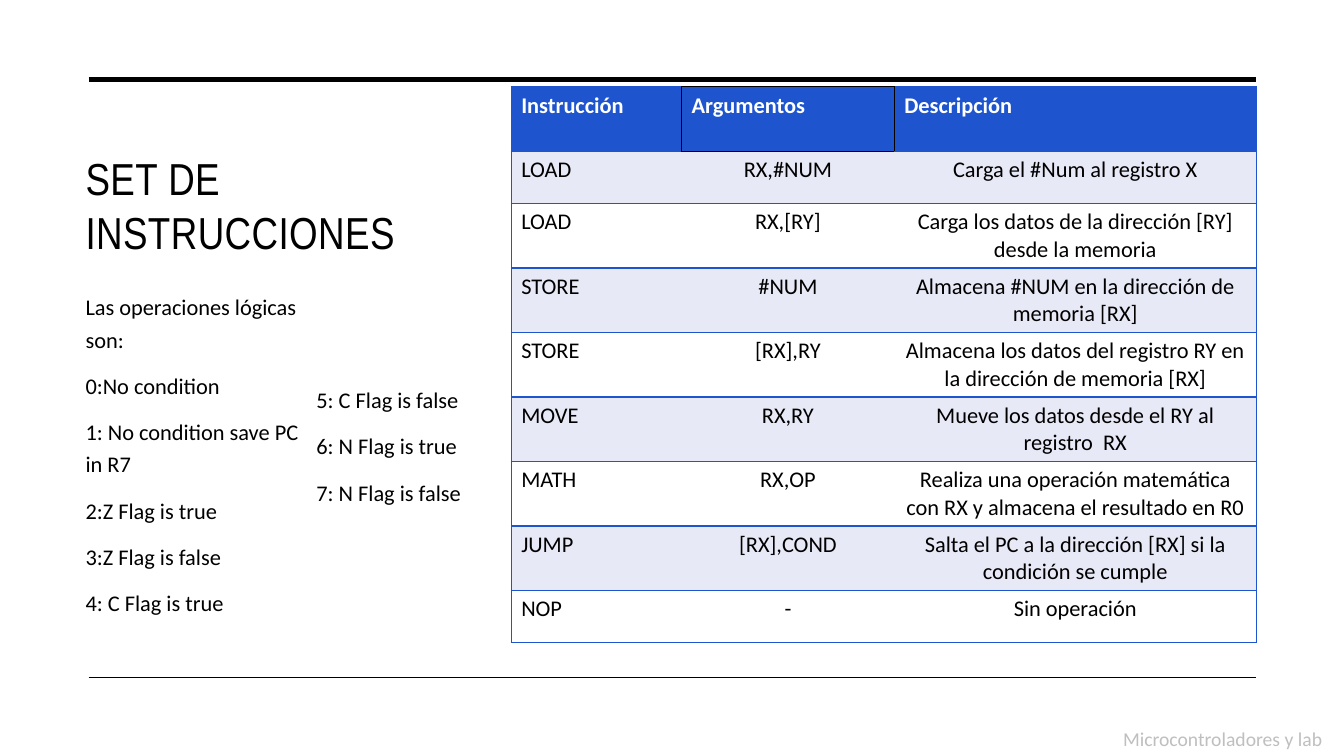
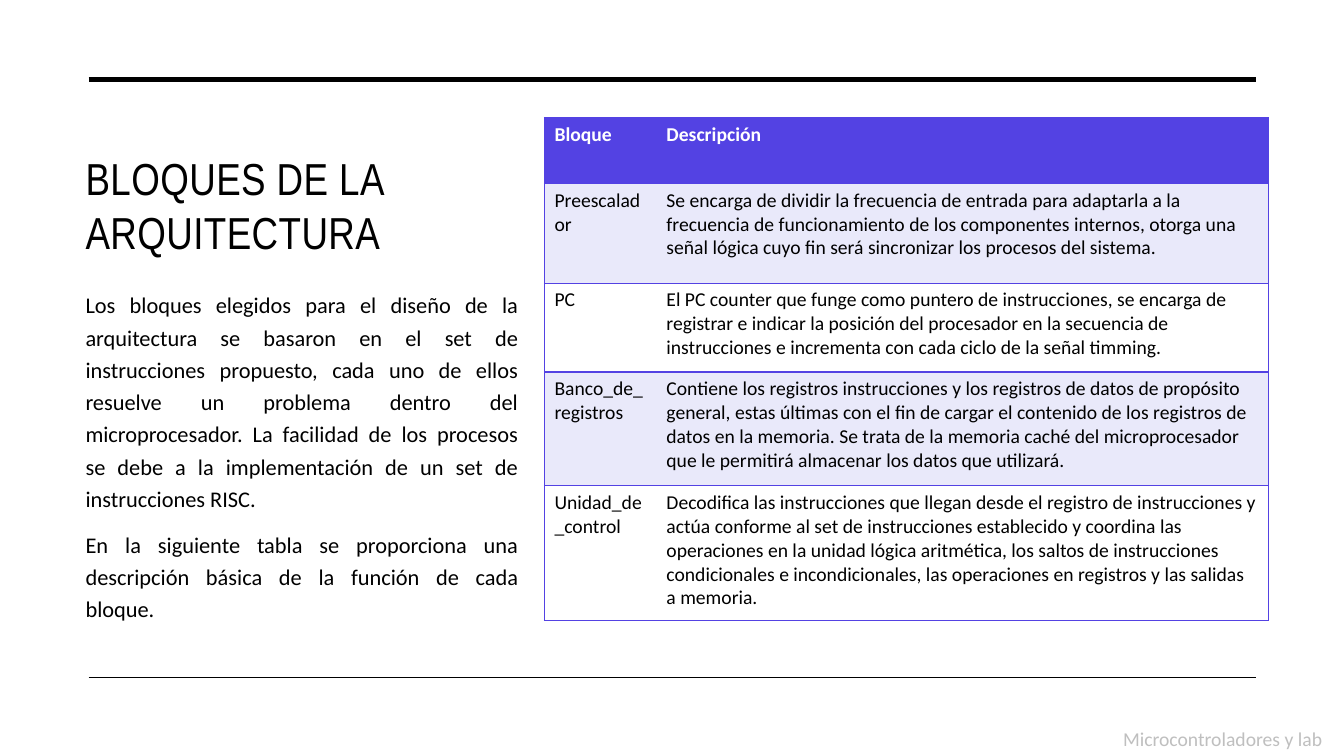
from lxml.etree import SubElement
from pptx import Presentation
from pptx.dml.color import RGBColor
from pptx.enum.shapes import MSO_CONNECTOR as Connector
from pptx.enum.text import MSO_ANCHOR as Anchor, PP_ALIGN as Align
from pptx.oxml.ns import qn
from pptx.util import Inches, Pt

BLACK = RGBColor(0x00, 0x00, 0x00)
WHITE = RGBColor(0xFF, 0xFF, 0xFF)
GRAY = RGBColor(0xBF, 0xBF, 0xBF)
BLUE = RGBColor(0x1E, 0x55, 0xCE)
PALE_BLUE = RGBColor(0xE8, 0xE9, 0xF6)
VIOLET = RGBColor(0x53, 0x42, 0xE3)
PALE_VIOLET = RGBColor(0xE9, 0xE9, 0xFA)

TITLE_FONT = "Arial Narrow"
BODY_FONT = "Calibri"
FOOTER = "Microcontroladores y lab"

CONDITIONS = [
    "Las operaciones lógicas son:",
    "0:No condition",
    "1: No condition save PC in R7",
    "2:Z Flag is true",
    "3:Z Flag is false",
    "4: C Flag is true",
]
MORE_CONDITIONS = ["5: C Flag is false", "6: N Flag is true", "7: N Flag is false"]

INSTRUCTIONS = [
    ("Instrucción", "Argumentos", "Descripción"),
    ("LOAD", "RX,#NUM", "Carga el #Num al registro X"),
    ("LOAD", "RX,[RY]", "Carga los datos de la dirección [RY] desde la memoria"),
    ("STORE", "#NUM", "Almacena #NUM en la dirección de memoria [RX]"),
    ("STORE", "[RX],RY",
     "Almacena los datos del registro RY en la dirección de memoria [RX]"),
    ("MOVE", "RX,RY", "Mueve los datos desde el RY al registro  RX"),
    ("MATH", "RX,OP",
     "Realiza una operación matemática con RX y almacena el resultado en R0"),
    ("JUMP", "[RX],COND", "Salta el PC a la dirección [RX] si la condición se cumple"),
    ("NOP", "-", "Sin operación"),
]

ARCHITECTURE = [
    "Los bloques elegidos para el diseño de la arquitectura se basaron en el set de "
    "instrucciones propuesto, cada uno de ellos resuelve un problema dentro del "
    "microprocesador. La facilidad de los procesos se debe a la implementación de un "
    "set de instrucciones RISC.",
    "En la siguiente tabla se proporciona una descripción básica de la función de cada "
    "bloque.",
]

BLOCKS = [
    ("Bloque", "Descripción"),
    ("Preescalador",
     "Se encarga de dividir la frecuencia de entrada para adaptarla a la frecuencia de "
     "funcionamiento de los componentes internos, otorga una señal lógica cuyo fin será "
     "sincronizar los procesos del sistema."),
    ("PC",
     "El PC counter que funge como puntero de instrucciones, se encarga de registrar e "
     "indicar la posición del procesador en la secuencia de instrucciones e incrementa "
     "con cada ciclo de la señal timming."),
    ("Banco_de_registros",
     "Contiene los registros instrucciones y los registros de datos de propósito general, "
     "estas últimas con el fin de cargar el contenido de los registros de datos en la "
     "memoria. Se trata de la memoria caché del microprocesador que le permitirá almacenar "
     "los datos que utilizará."),
    ("Unidad_de_control",
     "Decodifica las instrucciones que llegan desde el registro de instrucciones y actúa "
     "conforme al set de instrucciones establecido y coordina las operaciones en la unidad "
     "lógica aritmética, los saltos de instrucciones condicionales e incondicionales, las "
     "operaciones en registros y las salidas a memoria."),
]


def write(frame, paragraphs, size=16, font=BODY_FONT, color=BLACK, bold=False,
          align=Align.LEFT, line_spacing=None, before=0, tracking=0):
    frame.word_wrap = True
    for index, text in enumerate(paragraphs):
        paragraph = frame.add_paragraph() if index else frame.paragraphs[0]
        paragraph.alignment = align
        paragraph.line_spacing = line_spacing
        paragraph.space_before = Pt(before)
        run = paragraph.add_run()
        run.text = text
        run.font.size = Pt(size)
        run.font.name = font
        run.font.bold = bold
        run.font.color.rgb = color
        if tracking:
            run.font._element.set("spc", str(round(tracking * 100)))


def add_text(slide, left, top, width, height, paragraphs, anchor=Anchor.TOP, **style):
    box = slide.shapes.add_textbox(
        Inches(left), Inches(top), Inches(width), Inches(height))
    box.text_frame.vertical_anchor = anchor
    write(box.text_frame, paragraphs, **style)


def add_body(slide, left, top, width, height, paragraphs, align=Align.LEFT):
    add_text(slide, left, top, width, height, paragraphs,
             align=align, line_spacing=1.2, before=10)


def add_rule(slide, y, weight):
    rule = slide.shapes.add_connector(
        Connector.STRAIGHT, Inches(0.88), Inches(y), Inches(12.46), Inches(y))
    rule.line.color.rgb = BLACK
    rule.line.width = Pt(weight)
    SubElement(rule._element.spPr, qn("a:effectLst"))


def add_slide(deck, title):
    slide = deck.slides.add_slide(deck.slide_layouts[6])
    add_rule(slide, 0.79, 3.5)
    add_rule(slide, 6.72, 1)
    add_text(slide, 0.75, 1.17, 4.49, 1.44, [title], anchor=Anchor.BOTTOM,
             size=32, font=TITLE_FONT, tracking=0.3)
    add_text(slide, 11.04, 7.16, 2.29, 0.34, [FOOTER], size=14, color=GRAY)
    return slide


def set_borders(cell, **colors):
    properties = cell._tc.get_or_add_tcPr()
    for position, side in enumerate("LRTB"):
        tag = qn(f"a:ln{side}")
        for old in properties.findall(tag):
            properties.remove(old)
        border = SubElement(properties, tag, w=str(Pt(1)))
        color = colors.get(side)
        if color is None:
            SubElement(border, qn("a:noFill"))
        else:
            fill = SubElement(border, qn("a:solidFill"))
            SubElement(fill, qn("a:srgbClr"), val=str(color))
        properties.insert(position, border)


def add_grid(slide, left, top, widths, heights, rows, accent, band, size, aligns):
    table = slide.shapes.add_table(
        len(rows), len(widths), Inches(left), Inches(top),
        Inches(sum(widths)), Inches(sum(heights))).table
    table.horz_banding = False
    for column, width in zip(table.columns, widths):
        column.width = Inches(width)
    for row, height in zip(table.rows, heights):
        row.height = Inches(height)
    last = len(widths) - 1
    for r, texts in enumerate(rows):
        header = r == 0
        background = accent if header else band if r % 2 else WHITE
        for c, text in enumerate(texts):
            cell = table.cell(r, c)
            cell.fill.solid()
            cell.fill.fore_color.rgb = background
            write(cell.text_frame, [text], size=size, bold=header,
                  color=WHITE if header else BLACK,
                  align=Align.LEFT if header else aligns[c])
            set_borders(cell, T=accent, B=accent,
                        L=accent if c == 0 else None,
                        R=accent if c == last else None)
    return table


def add_instruction_set(deck):
    slide = add_slide(deck, "SET DE INSTRUCCIONES")
    add_body(slide, 0.75, 2.81, 2.49, 3.63, CONDITIONS)
    add_body(slide, 3.04, 3.73, 2.03, 1.5, MORE_CONDITIONS)
    heights = [0.64, 0.52] + [0.64] * 6 + [0.52]
    table = add_grid(slide, 5.07, 0.86, [1.69, 2.11, 3.59], heights, INSTRUCTIONS,
                     BLUE, PALE_BLUE, 16, [Align.LEFT, Align.CENTER, Align.CENTER])
    set_borders(table.cell(0, 0), L=BLUE, T=BLUE, R=BLACK, B=BLUE)
    set_borders(table.cell(0, 1), L=BLACK, T=BLACK, R=BLACK, B=BLACK)
    set_borders(table.cell(0, 2), L=BLACK, T=BLUE, R=BLUE, B=BLUE)
    set_borders(table.cell(1, 1), T=BLACK, B=BLUE)


def add_architecture_blocks(deck):
    slide = add_slide(deck, "BLOQUES DE LA ARQUITECTURA")
    add_body(slide, 0.75, 2.79, 4.49, 3.63, ARCHITECTURE, align=Align.JUSTIFY)
    add_grid(slide, 5.4, 1.17, [1.11, 6.07], [0.65, 0.99, 0.88, 1.13, 1.34], BLOCKS,
             VIOLET, PALE_VIOLET, 14, [Align.LEFT, Align.LEFT])


def main():
    deck = Presentation()
    deck.slide_width = Inches(13.33)
    deck.slide_height = Inches(7.5)
    add_instruction_set(deck)
    add_architecture_blocks(deck)
    deck.save("out.pptx")


if __name__ == "__main__":
    main()
